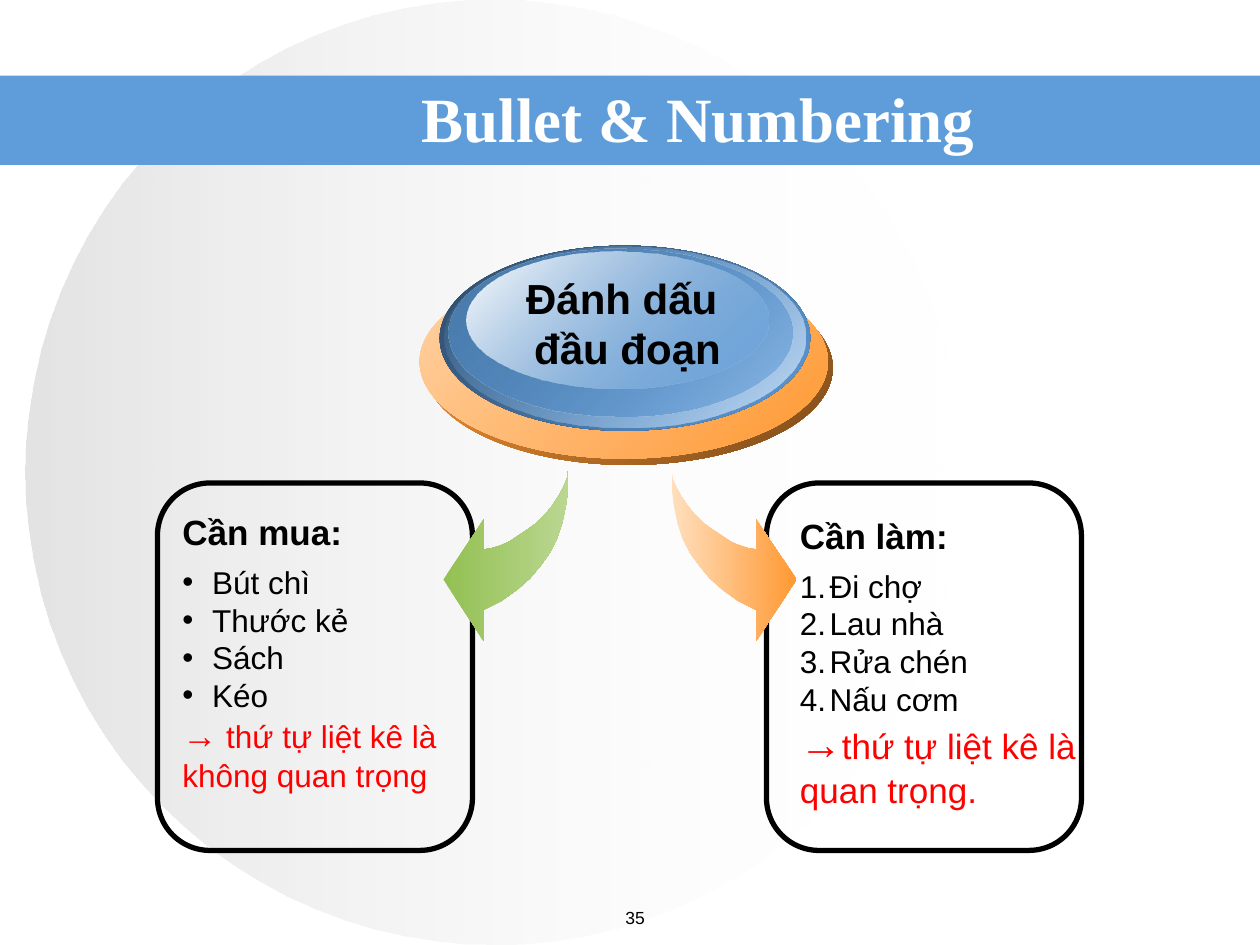
import pptx
import pptx.util
import pptx.dml.color
import pptx.enum.shapes
import pptx.enum.text
import lxml.etree

Pt = pptx.util.Pt
RGBColor = pptx.dml.color.RGBColor
SHAPE = pptx.enum.shapes.MSO_SHAPE
ALIGN = pptx.enum.text.PP_ALIGN
A = "{http://schemas.openxmlformats.org/drawingml/2006/main}"

BLACK = RGBColor(0x00, 0x00, 0x00)
WHITE = RGBColor(0xFF, 0xFF, 0xFF)
RED = RGBColor(0xFF, 0x00, 0x00)
SILVER = RGBColor(0xC0, 0xC0, 0xC0)
BLUE = RGBColor(0x5E, 0x9C, 0xDA)
NAVY = RGBColor(0x2C, 0x48, 0x65)
STEEL = RGBColor(0x4A, 0x7C, 0xAD)
PALE_BLUE = RGBColor(0xC7, 0xDC, 0xF2)
ORANGE = RGBColor(0xFF, 0x99, 0x33)
BROWN = RGBColor(0x7C, 0x4A, 0x19)
PEACH = RGBColor(0xFF, 0xD2, 0xA5)
PALE_PEACH = RGBColor(0xFF, 0xDF, 0xBE)
GREEN = RGBColor(0x93, 0xC0, 0x52)
PALE_GREEN = RGBColor(0xBA, 0xD7, 0x91)


def shade(shape, start, end, angle=0, opacities=(100, 100)):
    """Two-stop gradient without outline; the angle runs clockwise."""
    shape.shadow.inherit = False
    shape.line.fill.background()
    shape.fill.gradient()
    shape.fill.gradient_angle = -angle % 360
    for stop, color in zip(shape.fill.gradient_stops, (start, end)):
        stop.color.rgb = color
    colors = shape._element.spPr.findall(f"{A}gradFill/{A}gsLst/{A}gs/{A}srgbClr")
    for color, opacity in zip(colors, opacities):
        if opacity < 100:
            lxml.etree.SubElement(color, A + "alpha", val=str(opacity * 1000))


def add_label(left, top, width, height, text, size, color, font="Arial",
              bold=False, align=ALIGN.CENTER):
    """Text box with one paragraph; returns its text frame."""
    frame = slide.shapes.add_textbox(Pt(left), Pt(top), Pt(width), Pt(height)).text_frame
    frame.word_wrap = True
    line = frame.paragraphs[0]
    line.text = text
    line.alignment = align
    line.font.name = font
    line.font.size = Pt(size)
    line.font.bold = bold
    line.font.color.rgb = color
    return frame


deck = pptx.Presentation()
deck.slide_width, deck.slide_height = Pt(720), Pt(540)
slide = deck.slides.add_slide(deck.slide_layouts[6])

# Background disc and title band
disc = slide.shapes.add_shape(SHAPE.OVAL, Pt(14.4), Pt(0), Pt(535.7), Pt(540))
shade(disc, SILVER, WHITE, opacities=(44, 0))
band = slide.shapes.add_shape(SHAPE.RECTANGLE, Pt(0), Pt(43.2), Pt(720), Pt(51.1))
band.shadow.inherit = False
band.fill.solid()
band.fill.fore_color.rgb = BLUE
band.line.fill.background()
title = add_label(162, 48.2, 473.8, 38.2, "Bullet & Numbering", 36, WHITE,
                  font="Times New Roman", bold=True)
title.vertical_anchor = pptx.enum.text.MSO_ANCHOR.MIDDLE

# Slide number
add_label(329.8, 514.8, 66.2, 20.9, "35", 10, BLACK)

# Outlined list frames
for left in (438, 90):
    frame = slide.shapes.add_shape(SHAPE.ROUNDED_RECTANGLE, Pt(left), Pt(276), Pt(180), Pt(210))
    frame.shadow.inherit = False
    frame.fill.background()
    frame.line.color.rgb = BLACK
    frame.line.width = Pt(3)

# Curved arrows, mirrored: distances outwards and down from the tail
CURVE = [(0, 0), (0, 10.8), (1.4, 20.9), (3.6, 31), (6.5, 39.6), (10.6, 47.5),
         (15.8, 54.7), (21.8, 61.9), (29.2, 68.4), (38.2, 74.9), (48.2, 79.9),
         (48.2, 97.9), (71.3, 62.6), (48.2, 28.1), (48.2, 45.4), (43.6, 44.6),
         (38.9, 43.2), (33.8, 41), (28.4, 37.4), (23, 33.8), (18, 30.2),
         (13, 25.2), (9, 20.2), (5.6, 15.1), (2.9, 10.1), (0.7, 5)]
TAIL_TOP = 268.6
for tail, side, start, end in ((324.7, -1, GREEN, PALE_GREEN),
                               (383.8, 1, PALE_PEACH, ORANGE)):
    points = [(Pt(tail + side * out), Pt(TAIL_TOP + down)) for out, down in CURVE]
    outline = slide.shapes.build_freeform(*points[0])
    outline.add_line_segments(points[1:], close=True)
    shade(outline.convert_to_shape(), start, end)

# Layered button, from its base up
for left, top, width, height, start, end, opacities in (
    (242.6, 154.8, 233.3, 110.9, ORANGE, BROWN, (100, 100)),
    (239.8, 151.2, 233.3, 110.9, PEACH, ORANGE, (100, 100)),
    (251.3, 140.4, 211.7, 105.8, NAVY, BLUE, (100, 100)),
    (254.2, 141.1, 205.9, 103, BLUE, PALE_BLUE, (0, 100)),
    (256.3, 141.8, 196.6, 96.5, STEEL, BLUE, (100, 48)),
    (266.4, 144, 172.8, 77.8, WHITE, BLUE, (100, 38)),
):
    layer = slide.shapes.add_shape(SHAPE.OVAL, Pt(left), Pt(top), Pt(width), Pt(height))
    shade(layer, start, end, 45, opacities)
button = add_label(291.6, 151.9, 127.4, 93.6, "Đánh dấu\v đầu đoạn", 24, BLACK, bold=True)
button.word_wrap = False
button.margin_left = button.margin_right = Pt(0)

# Lists: heading, items, conclusion
BULLET = ("buChar", {"char": "•"})
NUMBER = ("buAutoNum", {"type": "arabicPeriod"})
for left, top, width, height, heading, marker, items, note, arrow_size, note_size in (
    (97.2, 288, 160.6, 169.2, "Cần mua:", BULLET, ("Bút chì", "Thước kẻ", "Sách", "Kéo"),
     " thứ tự liệt kê là không quan trọng", 20, 18),
    (450, 290.2, 172.8, 176.4, "Cần làm:", NUMBER, ("Đi chợ", "Lau nhà", "Rửa chén", "Nấu cơm"),
     "thứ tự liệt kê là quan trọng.", 24, 20),
):
    column = add_label(left, top, width, height, heading, 20, BLACK, bold=True, align=ALIGN.LEFT)
    column.paragraphs[0].space_after = Pt(6)
    for item in items:
        entry = column.add_paragraph()
        entry.text = item
        props = entry._p.get_or_add_pPr()
        props.set("marL", str(Pt(17)))
        props.set("indent", str(-Pt(17)))
        lxml.etree.SubElement(props, A + "buFont", typeface="Arial")
        lxml.etree.SubElement(props, A + marker[0], marker[1])
        entry.font.name = "Arial"
        entry.font.size = Pt(18)
        entry.font.color.rgb = BLACK
    conclusion = column.add_paragraph()
    conclusion.font.name = "Arial"
    conclusion.font.color.rgb = RED
    for text, size in (("→", arrow_size), (note, note_size)):
        run = conclusion.add_run()
        run.text = text
        run.font.size = Pt(size)

deck.save("out.pptx")
